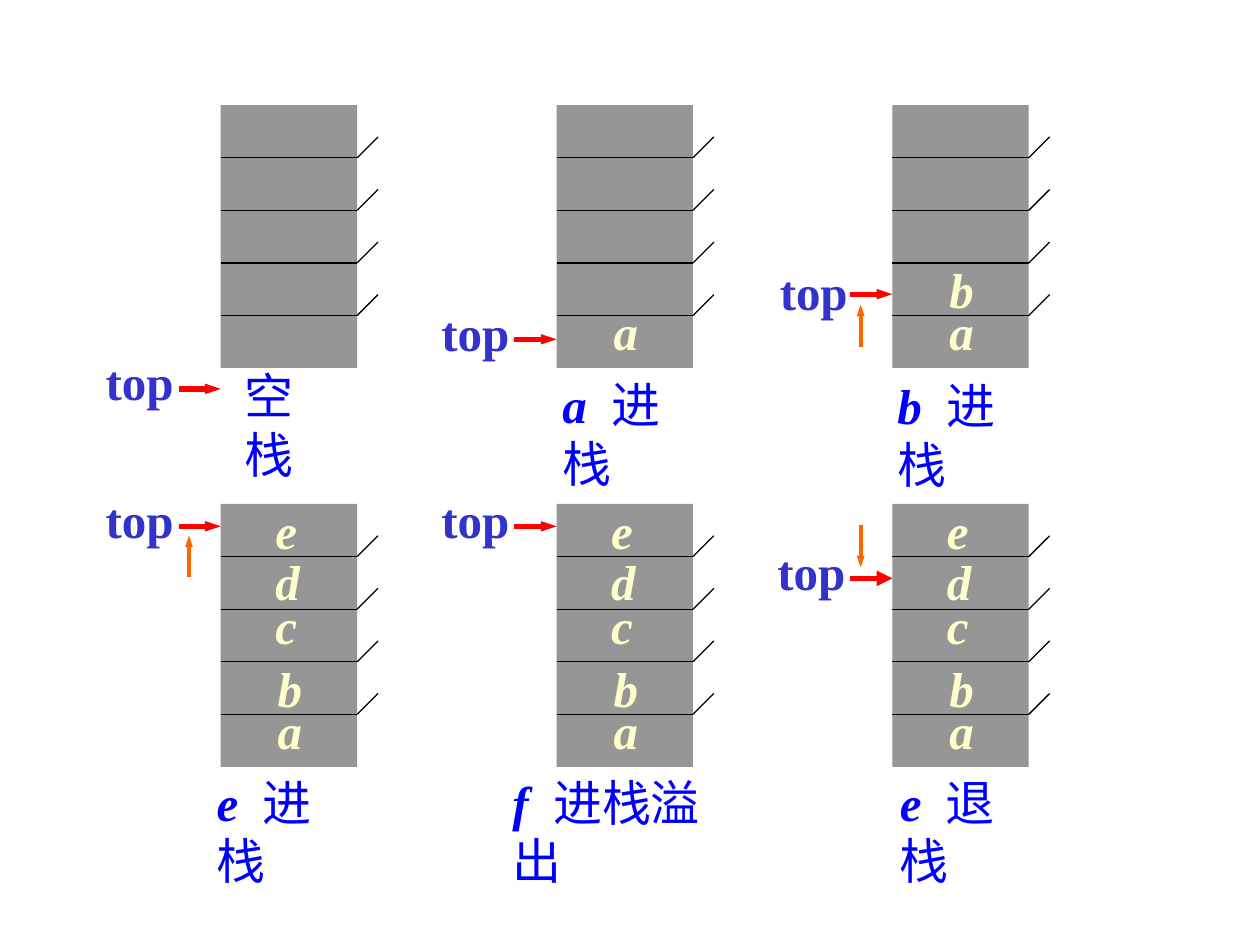
from dataclasses import dataclass

from lxml.etree import SubElement
from pptx import Presentation
from pptx.dml.color import RGBColor
from pptx.enum.shapes import MSO_CONNECTOR, MSO_SHAPE
from pptx.enum.text import MSO_AUTO_SIZE
from pptx.oxml.ns import qn
from pptx.util import Cm, Pt

COLORS = {
    "cell": "969696",
    "rule": "000000",
    "top": "3333CC",
    "point": "FF0000",
    "move": "FF6600",
    "note": "0000FF",
    "item": "FFFFCC",
}
FONT = {"name": "Times New Roman", "size": Pt(28)}
STRONG = {"bold": True}
SLANT = {"bold": True, "italic": True}

LEFT, TOP = 4.45, 2.12
STEP_X, STEP_Y = 6.77, 8.04
WIDTH, CELL, COUNT = 2.75, 1.06, 5
TICK, REACH = 0.42, 0.85
TEXT_HIGH = 1.45

# Item letter: offset from the stack's corner, then box width
ITEMS = {
    "a": (0.9, 3.83, 0.99),
    "b": (0.9, 2.99, 0.99),
    "c": (0.85, 1.73, 0.94),
    "d": (0.85, 0.84, 0.99),
    "e": (0.85, -0.2, 0.94),
}


@dataclass
class Stack:
    """One state; every offset is in cm from the stack's top left corner."""
    col: int
    row: int
    items: str
    point: float
    name: str
    note: str
    place: tuple
    tag: tuple = (-2.57, -0.87)
    move: tuple = ()
    head: str = "sm"


STACKS = [
    Stack(0, 0, "", 5.72, "", "空栈", (0.23, 5.13, 2.46)),
    Stack(1, 0, "a", 4.72, "a ", "进栈", (-0.13, 5.3, 3.45)),
    Stack(2, 0, "ab", 3.81, "b ", "进栈", (-0.15, 5.33, 3.45),
          tag=(-2.52, -0.79), move=(4.87, 4.02)),
    Stack(0, 1, "abcde", 0.45, "e ", "进栈", (-0.33, 5.28, 3.4),
          move=(1.48, 0.63)),
    Stack(1, 1, "abcde", 0.45, "f ", "进栈溢出", (-1.14, 5.28, 5.26)),
    Stack(2, 1, "abcde", 1.5, "e ", "退栈", (-0.1, 5.28, 3.4),
          move=(0.43, 1.28), head="med"),
]


def color(key):
    return RGBColor.from_string(COLORS[key])


def add_line(shapes, start, end, key, width, head=None):
    """Draw a straight line; head is the arrowhead's width at the end."""
    points = [Cm(value) for value in (*start, *end)]
    line = shapes.add_connector(MSO_CONNECTOR.STRAIGHT, *points)
    line.line.color.rgb = color(key)
    line.line.width = Pt(width)
    if head:
        SubElement(line.line._get_or_add_ln(), qn("a:tailEnd"),
                   type="triangle", w=head, len="med")
    SubElement(line._element.spPr, qn("a:effectLst"))


def add_text(shapes, x, y, width, key, *parts):
    """Add one line of text from pairs of wording and font format."""
    box = shapes.add_textbox(Cm(x), Cm(y), Cm(width), Cm(TEXT_HIGH))
    frame = box.text_frame
    frame.word_wrap = False
    frame.auto_size = MSO_AUTO_SIZE.SHAPE_TO_FIT_TEXT
    for words, style in parts:
        run = frame.paragraphs[0].add_run()
        run.text = words
        for name, value in {**FONT, **style}.items():
            setattr(run.font, name, value)
        run.font.color.rgb = color(key)
        if words.endswith(" "):
            # Wider tracking sets the name apart from the note
            run._r.get_or_add_rPr().set("spc", "350")


def add_cells(shapes, x, y):
    block = shapes.add_shape(MSO_SHAPE.RECTANGLE, Cm(x), Cm(y),
                             Cm(WIDTH), Cm(CELL * COUNT))
    block.shadow.inherit = False
    block.fill.solid()
    block.fill.fore_color.rgb = color("cell")
    block.line.fill.background()
    right = x + WIDTH
    for index in range(1, COUNT):
        level = y + index * CELL
        add_line(shapes, (x, level), (right, level), "rule", 0.75)
        add_line(shapes, (right, level), (right + TICK, level - TICK),
                 "rule", 0.75)


def add_stack(slide, stack):
    shapes = slide.shapes.add_group_shape().shapes
    x, y = LEFT + stack.col * STEP_X, TOP + stack.row * STEP_Y
    add_cells(shapes, x, y)

    level = y + stack.point
    shift, lift = stack.tag
    add_text(shapes, x + shift, level + lift, 1.88, "top", ("top", STRONG))
    add_line(shapes, (x - REACH, level), (x, level), "point", 3, stack.head)
    if stack.move:
        start, end = stack.move
        add_line(shapes, (x - 0.64, y + start), (x - 0.64, y + end),
                 "move", 2.25, "sm")

    for item in stack.items:
        across, down, width = ITEMS[item]
        add_text(shapes, x + across, y + down, width, "item", (item, SLANT))

    across, down, width = stack.place
    parts = [(stack.name, SLANT)] if stack.name else []
    add_text(shapes, x + across, y + down, width, "note",
             *parts, (stack.note, {}))


def main():
    deck = Presentation()
    deck.slide_width, deck.slide_height = Cm(25.4), Cm(19.05)
    slide = deck.slides.add_slide(deck.slide_layouts[6])
    for stack in STACKS:
        add_stack(slide, stack)
    deck.save("out.pptx")


if __name__ == "__main__":
    main()
